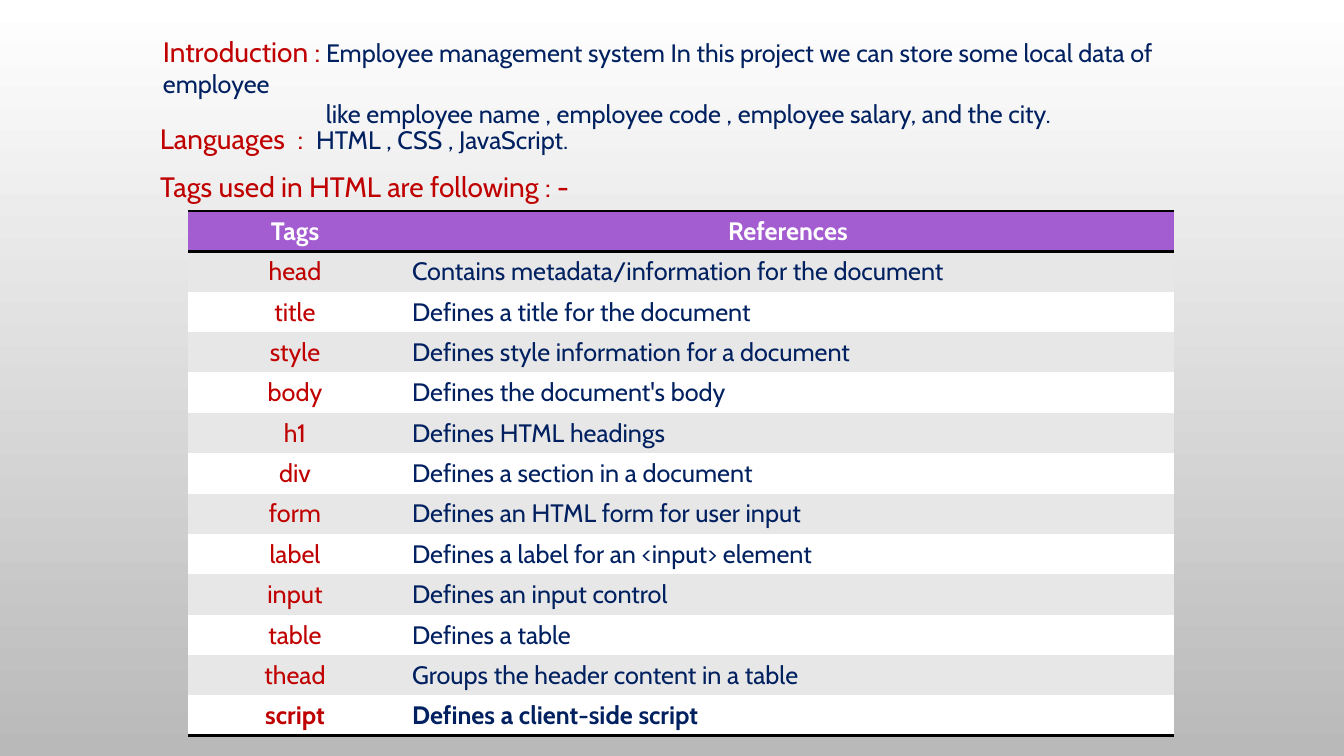
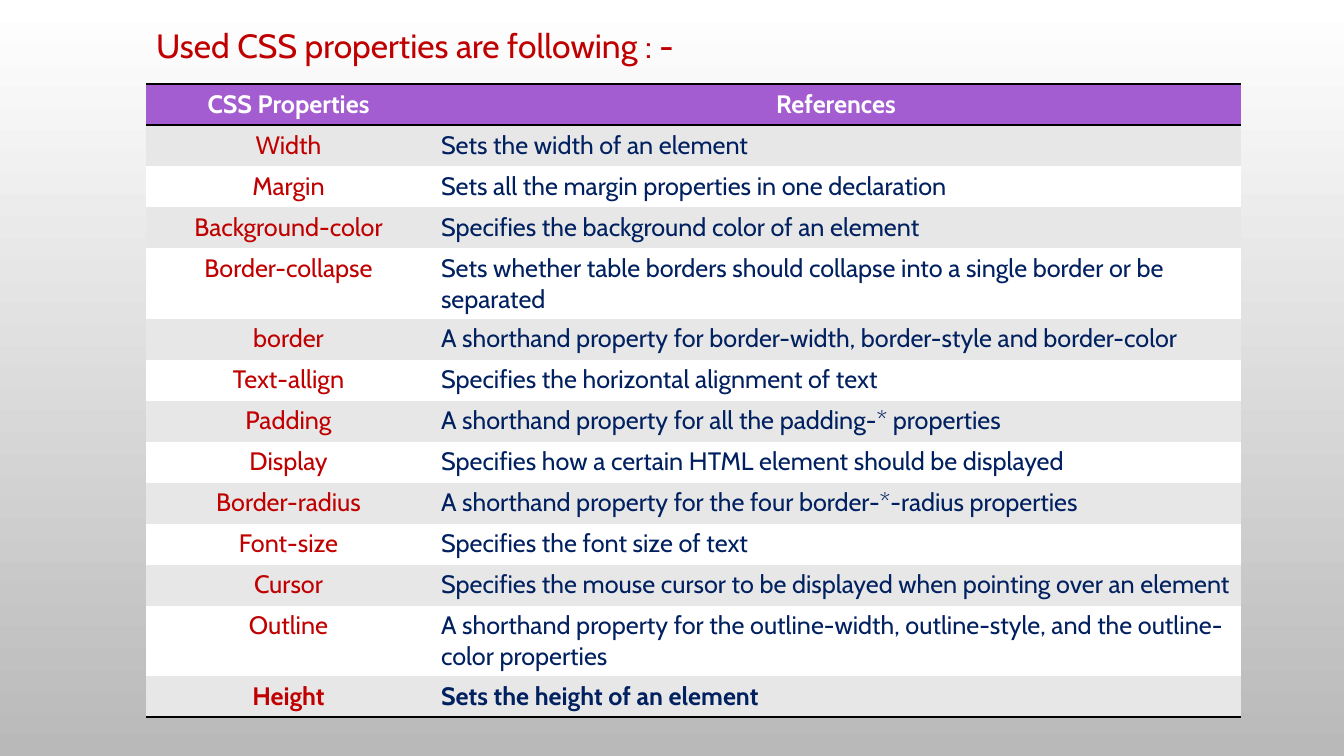
"""Build two slides listing the HTML tags and CSS properties used in a project."""
from lxml import etree
from pptx import Presentation
from pptx import util as u
from pptx.dml import color
from pptx.enum import text
from pptx.oxml import ns

PX = 9144000 / 1008
FONT = "Cabin"
COLORS = {
    "top": "FFFFFF", "bottom": "B9B9B9", "red": "C00000", "navy": "002060",
    "header": "A35DD1", "white": "FFFFFF", "band": "E7E7E7", "rule": "000000",
}
NO_STYLE = "{2D5ABB26-0587-4C30-8999-92F81FD0307C}"

TAGS = [
    ("Tags", "References"),
    ("head", "Contains metadata/information for the document"),
    ("title", "Defines a title for the document"),
    ("style", "Defines style information for a document"),
    ("body", "Defines the document's body"),
    ("h1", "Defines HTML headings"),
    ("div", "Defines a section in a document"),
    ("form", "Defines an HTML form for user input"),
    ("label", "Defines a label for an <input> element"),
    ("input", "Defines an input control"),
    ("table", "Defines a table"),
    ("thead", "Groups the header content in a table"),
    ("script", "Defines a client-side script"),
]
PROPERTIES = [
    ("CSS Properties", "References"),
    ("Width", "Sets the width of an element"),
    ("Margin", "Sets all the margin properties in one declaration"),
    ("Background-color", "Specifies the background color of an element"),
    ("Border-collapse", "Sets whether table borders should collapse into a single border or be separated"),
    ("border", "A shorthand property for border-width, border-style and border-color"),
    ("Text-allign", "Specifies the horizontal alignment of text"),
    ("Padding", "A shorthand property for all the padding-* properties"),
    ("Display", "Specifies how a certain HTML element should be displayed"),
    ("Border-radius", "A shorthand property for the four border-*-radius properties"),
    ("Font-size", "Specifies the font size of text"),
    ("Cursor", "Specifies the mouse cursor to be displayed when pointing over an element"),
    ("Outline", "A shorthand property for the outline-width, outline-style, and the outline-color properties"),
    ("Height", "Sets the height of an element"),
]
SLIDES = [
    {"title": "Tags used in HTML are following : -", "size": 20,
     "title_box": (150, 164, 1062, 44),
     "rows": TAGS, "table_at": (188, 211), "cols": (214, 772), "row": 40},
    {"title": "Used CSS properties are following : -", "size": 24,
     "title_box": (146, 20, 963, 50),
     "rows": PROPERTIES, "table_at": (146, 84), "cols": (285, 810), "row": 41},
]
NOTES = [
    ((153, 30, 1086, 75), [
        (0, [("Introduction :", 20, "red"), (" ", 18, "red"),
             ("Employee management system In this project we can store some "
              "local data of employee", 18, "navy")]),
        (163, [("like employee name , employee code , employee salary, "
                "and the city.", 18, "navy")]),
    ]),
    ((150, 117, 1098, 44), [
        (0, [("Languages  :  ", 20, "red"), ("HTML , CSS , JavaScript.", 18, "navy")]),
    ]),
]


def add_run(p, words, size, tone, bold=False):
    r = p.add_run()
    r.text = words
    r.font.name = FONT
    r.font.size = u.Pt(size)
    r.font.bold = bold
    r.font.color.rgb = color.RGBColor.from_string(COLORS[tone])


def px(*lengths):
    return [u.Emu(round(n * PX)) for n in lengths]


prs = Presentation()
prs.slide_width, prs.slide_height = px(1344, 756)

fill = prs.slide_master.background.fill
fill.gradient()
fill.gradient_angle = 270
for stop, tone in zip(fill.gradient_stops, ("top", "bottom")):
    stop.color.rgb = color.RGBColor.from_string(COLORS[tone])

for item in SLIDES:
    s = prs.slides.add_slide(prs.slide_layouts[5])
    sp = s.shapes.title
    sp.left, sp.top, sp.width, sp.height = px(*item["title_box"])
    tf = sp.text_frame
    tf.word_wrap = True
    tf.auto_size = text.MSO_AUTO_SIZE.SHAPE_TO_FIT_TEXT
    tf.vertical_anchor = text.MSO_ANCHOR.TOP
    p = tf.paragraphs[0]
    p.alignment = text.PP_ALIGN.LEFT
    add_run(p, item["title"], item["size"], "red")

    rows, cols = item["rows"], item["cols"]
    last = len(rows) - 1
    frame = s.shapes.add_table(
        len(rows), len(cols),
        *px(*item["table_at"], sum(cols), item["row"] * len(rows)))
    table = frame.table
    table.horz_banding = False
    table._tbl.tblPr.find(ns.qn("a:tableStyleId")).text = NO_STYLE
    for column, width in zip(table.columns, px(*cols)):
        column.width = width

    for i, row in enumerate(rows):
        table.rows[i].height = px(item["row"])[0]
        back = "header" if i == 0 else "band" if i % 2 else "white"
        edges = ("lnT", "lnB") if i == 0 else ("lnB",) if i == last else ()
        for j, words in enumerate(row):
            cell = table.cell(i, j)
            p = cell.text_frame.paragraphs[0]
            centred = i == 0 or j == 0
            p.alignment = text.PP_ALIGN.CENTER if centred else text.PP_ALIGN.LEFT
            tone = "white" if i == 0 else ("red", "navy")[j]
            add_run(p, words, 18, tone, i in (0, last))
            cell.fill.solid()
            cell.fill.fore_color.rgb = color.RGBColor.from_string(COLORS[back])
            tcPr = cell._tc.get_or_add_tcPr()
            for k, edge in enumerate(edges):
                ln = etree.Element(ns.qn(f"a:{edge}"), w=str(u.Pt(2)))
                solid = etree.SubElement(ln, ns.qn("a:solidFill"))
                etree.SubElement(solid, ns.qn("a:srgbClr"), val=COLORS["rule"])
                tcPr.insert(k, ln)

s = prs.slides[0]
for box, paragraphs in NOTES:
    tf = s.shapes.add_textbox(*px(*box)).text_frame
    tf.word_wrap = True
    tf.auto_size = text.MSO_AUTO_SIZE.SHAPE_TO_FIT_TEXT
    for i, (indent, runs) in enumerate(paragraphs):
        p = tf.add_paragraph() if i else tf.paragraphs[0]
        p._p.get_or_add_pPr().set("marL", str(px(indent)[0]))
        for run in runs:
            add_run(p, *run)

prs.save("out.pptx")
